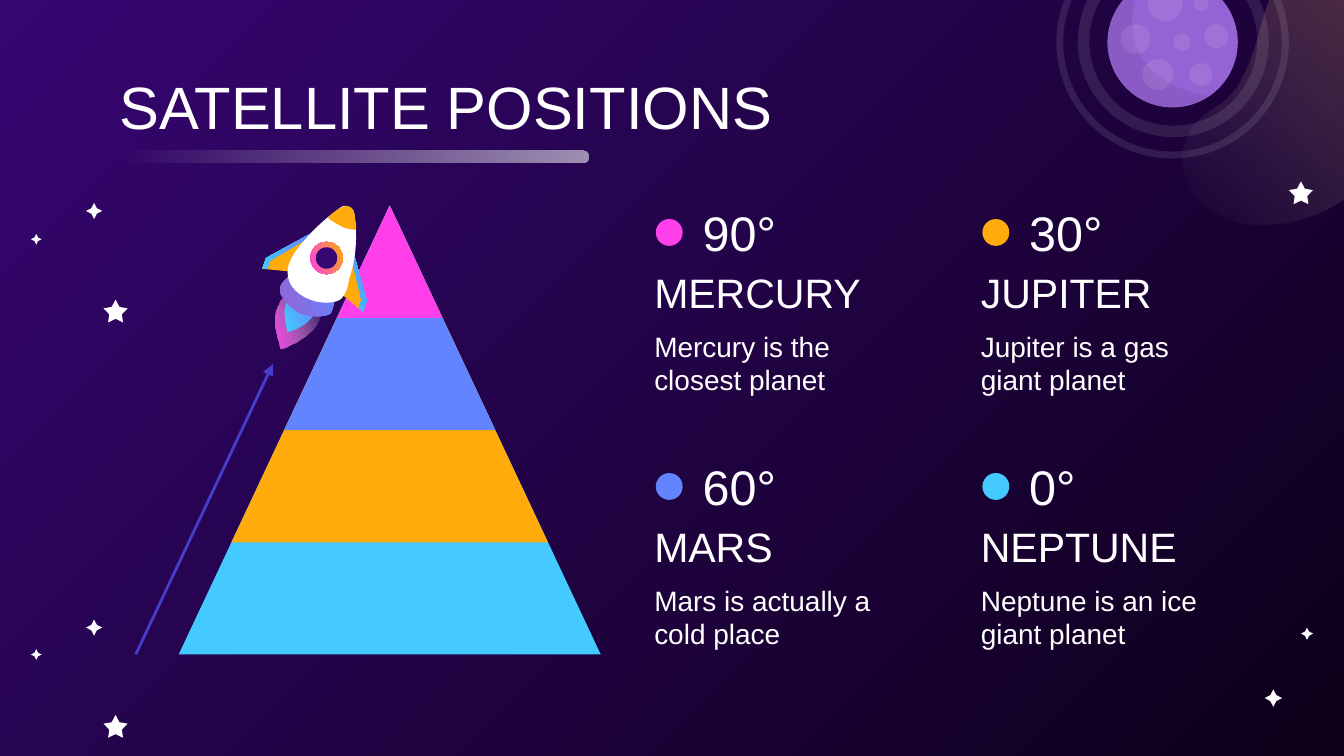
"""Build the satellite positions slide with its pyramid, rocket and planet cards."""
from dataclasses import dataclass

from lxml import etree
from pptx import Presentation
from pptx.dml.color import RGBColor
from pptx.enum.shapes import MSO_CONNECTOR, MSO_SHAPE
from pptx.enum.text import MSO_ANCHOR
from pptx.oxml.ns import qn
from pptx.util import Inches, Pt

OVAL = MSO_SHAPE.OVAL
RING = MSO_SHAPE.DONUT
CONE = MSO_SHAPE.ISOSCELES_TRIANGLE
BAR = MSO_SHAPE.ROUNDED_RECTANGLE
SPARK = MSO_SHAPE.STAR_4_POINT
STAR = MSO_SHAPE.STAR_5_POINT
LINE = MSO_CONNECTOR.STRAIGHT
TOP, BOTTOM = MSO_ANCHOR.TOP, MSO_ANCHOR.BOTTOM


@dataclass(frozen=True)
class Theme:
    font: str = "Arial"
    white: str = "FFFFFF"
    pale: str = "F9FBFC"
    night: str = "0C0019"
    grape: str = "370672"
    lilac: str = "9663D4"
    pink: str = "FF3FEA"
    blue: str = "6384FF"
    gold: str = "FFAB0C"
    sky: str = "44CAFF"
    arrow: str = "453ECA"
    title: int = 32
    angle: int = 26
    name: int = 22
    body: int = 15


T = Theme()


def write(text, box, size, anchor=TOP):
    frame = slide.shapes.add_textbox(*map(Inches, box)).text_frame
    frame.word_wrap = True
    frame.vertical_anchor = anchor
    frame.margin_left = frame.margin_right = Inches(0.1)
    frame.margin_top = frame.margin_bottom = Inches(0.1)
    run = frame.paragraphs[0].add_run()
    run.text = text
    run.font.name = T.font
    run.font.size = Pt(size)
    run.font.color.rgb = RGBColor.from_string(T.white)


def trace(path):
    x, y = path[0]
    dots = [(x, y)]
    for step in path[1:]:
        if len(step) == 2:
            dots.append(step)
        else:
            a, b, c, d, e, f = step
            for i in range(1, 13):
                t = i / 12
                u = 1 - t
                k = u**3, 3 * u * u * t, 3 * u * t * t, t**3
                dots.append((k[0] * x + k[1] * a + k[2] * c + k[3] * e,
                             k[0] * y + k[1] * b + k[2] * d + k[3] * f))
        x, y = step[-2:]
    return [(Inches(px), Inches(py)) for px, py in dots]


deck = Presentation()
deck.slide_width, deck.slide_height = Inches(10), Inches(10) * 9 // 16
slide = deck.slides.add_slide(deck.slide_layouts[6])
back = slide.background.fill
back.gradient()
back.gradient_angle = 135
for stop, tone in zip(back.gradient_stops, (T.night, T.grape)):
    stop.color.rgb = RGBColor.from_string(tone)

cards = [
    (4.77, 1.46, "90°", "MERCURY", "Mercury is the closest planet", T.pink),
    (4.77, 3.35, "60°", "MARS", "Mars is actually a cold place", T.blue),
    (7.2, 1.46, "30°", "JUPITER", "Jupiter is a gas giant planet", T.gold),
    (7.2, 3.35, "0°", "NEPTUNE", "Neptune is an ice giant planet", T.sky),
]
haze = [(T.white, 10)]
cool = [(T.sky, 100), (T.blue, 100)]

blob = [(10.2, -0.63), (10.17, -0.63, 10.15, -0.63, 10.13, -0.63),
        (9.87, -0.6, 9.61, -0.39, 9.48, -0.1), (9.36, 0.17, 9.34, 0.52, 9.14, 0.72),
        (9.04, 0.81, 8.91, 0.86, 8.85, 0.98), (8.74, 1.16, 8.82, 1.38, 8.94, 1.5),
        (9.07, 1.62, 9.23, 1.67, 9.4, 1.67), (9.66, 1.67, 9.95, 1.55, 10.17, 1.35),
        (10.4, 1.16, 10.58, 0.9, 10.69, 0.61), (10.89, 0.06, 10.72, -0.63, 10.2, -0.63)]
shade = [(8.47, -0.1), (8.33, -0.02, 8.24, 0.14, 8.24, 0.31),
         (8.24, 0.58, 8.46, 0.8, 8.73, 0.8), (8.83, 0.8, 8.92, 0.77, 9, 0.72),
         (8.34, 0.6, 8.39, 0.15, 8.47, -0.1)]
flame = [(2.09, 2.59), (2.07, 2.52, 2.05, 2.45, 2.05, 2.39),
         (2.04, 2.23, 2.19, 2.06, 2.33, 2.21), (2.49, 2.4, 2.23, 2.54, 2.09, 2.59)]
core = [(2.14, 2.47), (2.13, 2.42, 2.12, 2.38, 2.12, 2.33),
        (2.11, 2.23, 2.22, 2.11, 2.31, 2.22), (2.42, 2.34, 2.24, 2.44, 2.14, 2.47)]
skirt = [(2.2, 2.02), (2.14, 2.07, 2.06, 2.11, 2.09, 2.19),
         (2.12, 2.25, 2.18, 2.3, 2.23, 2.33), (2.29, 2.35, 2.41, 2.37, 2.46, 2.33),
         (2.48, 2.3, 2.51, 2.16, 2.48, 2.14), (2.46, 2.12, 2.36, 2.12, 2.33, 2.11),
         (2.28, 2.09, 2.23, 2.06, 2.2, 2.02)]
hull = [(2.51, 2.24), (2.57, 2.22, 2.59, 2.13, 2.6, 2.07),
        (2.65, 1.92, 2.66, 1.77, 2.64, 1.62), (2.64, 1.59, 2.63, 1.55, 2.6, 1.54),
        (2.58, 1.53, 2.56, 1.53, 2.54, 1.54), (2.53, 1.55, 2.51, 1.56, 2.5, 1.57),
        (2.39, 1.65, 2.28, 1.76, 2.2, 1.87), (2.17, 1.92, 2.14, 1.97, 2.14, 2.02),
        (2.13, 2.19, 2.37, 2.29, 2.51, 2.24)]
nose = [(2.45, 1.63), (2.48, 1.65, 2.51, 1.67, 2.55, 1.69),
        (2.58, 1.7, 2.61, 1.71, 2.65, 1.71), (2.65, 1.68, 2.65, 1.65, 2.64, 1.63),
        (2.64, 1.59, 2.63, 1.55, 2.6, 1.54), (2.57, 1.52, 2.53, 1.55, 2.5, 1.57),
        (2.48, 1.58, 2.46, 1.6, 2.44, 1.62)]
right = [(2.63, 1.88), (2.73, 2.24), (2.7, 2.32), (2.53, 2.18)]
left = [(2.31, 1.74), (1.98, 1.92), (1.95, 2), (2.16, 2.02)]
redge = [(2.69, 2.23), (2.61, 1.9), (2.63, 1.88), (2.73, 2.24), (2.7, 2.32), (2.67, 2.29)]
ledge = [(2.01, 1.94), (2.31, 1.76), (2.31, 1.74), (1.98, 1.92), (1.95, 2), (1.99, 2)]

art = [
    (None, blob, [(T.gold, 31), (T.white, 0)], None, 225),
    (OVAL, (8.24, -0.17, 0.97, 0.97), [(T.lilac, 100)], None, 0),
    (RING, (7.86, -0.55, 1.73, 1.73), haze, 0.03, 0),
    (RING, (8.02, -0.4, 1.42, 1.42), haze, 0.06, 0),
]
for x, y, d in [(8.5, 0.44, 0.23), (8.54, -0.1, 0.26), (8.73, 0.25, 0.13), (8.96, 0.18, 0.18),
                (8.34, 0.18, 0.22), (8.88, -0.03, 0.11), (8.85, 0.47, 0.17)]:
    art.append((OVAL, (x, y, d, d), haze, None, 0))
art.append((None, shade, [(T.night, 8)], None, 0))
for x, y, d in [(9.41, 5.13, 0.13), (9.68, 4.67, 0.09), (0.23, 4.83, 0.08),
                (0.23, 1.74, 0.08), (0.64, 4.61, 0.12), (0.64, 1.51, 0.12)]:
    art.append((SPARK, (x, y, d, d), [(T.pale, 100)], 0.24, 0))
for x, y in [(9.59, 1.35), (0.77, 5.32), (0.77, 2.23)]:
    art.append((STAR, (x, y, 0.18, 0.17), [(T.white, 100)], 0.26, 0))
for i, tone in enumerate((T.sky, T.gold, T.blue, T.pink)):
    part = 1 - i / 4
    art.append((CONE, (2.9 - 1.57 * part, 1.53, 3.14 * part, 3.34 * part),
                [(tone, 100)], None, 0))
art.append((BAR, (0.9, 1.12, 3.48, 0.09), [(T.white, 0), (T.white, 56)], 0.5, 0))
for x, y, *words, tone in cards:
    art.append((OVAL, (x + 0.11, y + 0.17, 0.2, 0.2), [(tone, 100)], None, 0))
art += [
    (None, flame, [(T.pink, 100), (T.white, 0)], None, 22),
    (None, core, cool, None, 22),
    (None, skirt, [(T.lilac, 100), (T.blue, 100)], None, 22),
    (None, right, [(T.gold, 100)], None, 0),
    (None, redge, cool, None, 22),
    (None, left, [(T.gold, 100)], None, 0),
    (None, ledge, cool, None, 22),
    (None, hull, [(T.white, 100)], None, 0),
    (None, nose, [(T.gold, 100)], None, 0),
    (OVAL, (2.31, 1.8, 0.24, 0.24), [(T.pink, 100), (T.gold, 100)], None, 22),
    (OVAL, (2.35, 1.84, 0.16, 0.16), [(T.grape, 100)], None, 0),
]

for kind, place, tones, adjust, angle in art:
    if kind is None:
        dots = trace(place)
        pen = slide.shapes.build_freeform(*dots[0], scale=1.0)
        pen.add_line_segments(dots[1:], close=True)
        shape = pen.convert_to_shape()
    else:
        shape = slide.shapes.add_shape(kind, *map(Inches, place))
    if adjust is not None:
        shape.adjustments[0] = adjust
    shape.shadow.inherit = False
    shape.line.fill.background()
    if len(tones) == 1:
        shape.fill.solid()
        shape.fill.fore_color.rgb = RGBColor.from_string(tones[0][0])
    else:
        shape.fill.gradient()
        shape.fill.gradient_angle = angle
        for stop, (tone, alpha) in zip(shape.fill.gradient_stops, tones):
            stop.color.rgb = RGBColor.from_string(tone)
    for node, (tone, alpha) in zip(shape.element.iter(qn("a:srgbClr")), tones):
        if alpha < 100:
            etree.SubElement(node, qn("a:alpha"), val=str(alpha * 1000))

arrow = slide.shapes.add_connector(LINE, *map(Inches, (1.01, 4.87, 2.03, 2.71)))
arrow.line.width = Pt(1.5)
arrow.line.color.rgb = RGBColor.from_string(T.arrow)
etree.SubElement(arrow.element.spPr.find(qn("a:ln")), qn("a:tailEnd"), type="triangle")
etree.SubElement(arrow.element.spPr, qn("a:effectLst"))

write("SATELLITE POSITIONS", (0.79, 0.42, 8.43, 0.65), T.title)
for x, y, angle, name, fact, tone in cards:
    write(name, (x, y + 0.42, 1.9, 0.58), T.name, anchor=BOTTOM)
    write(fact, (x, y + 0.89, 1.9, 0.66), T.body)
    write(angle, (x + 0.36, y, 1.54, 0.58), T.angle, anchor=BOTTOM)

deck.save("out.pptx")
